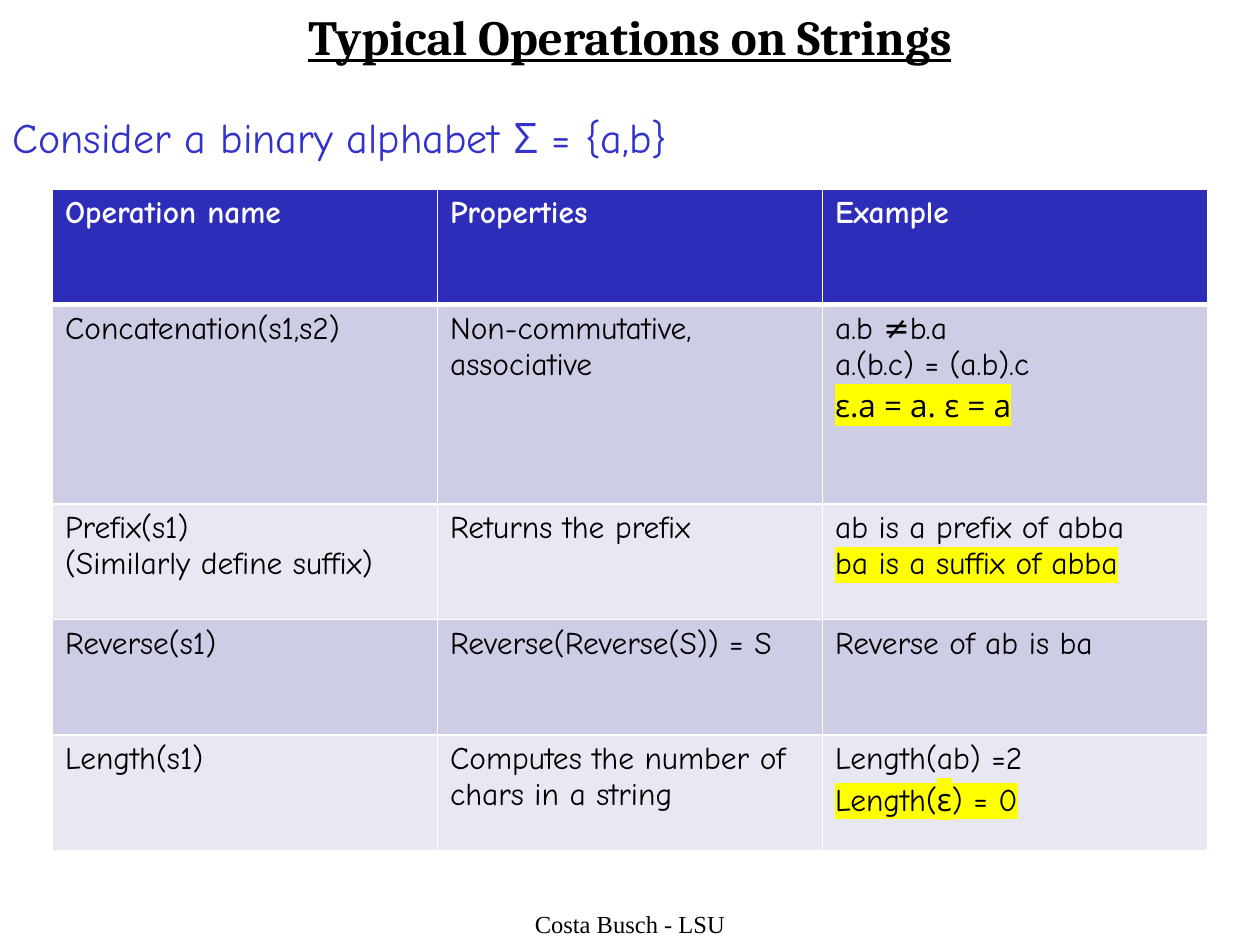
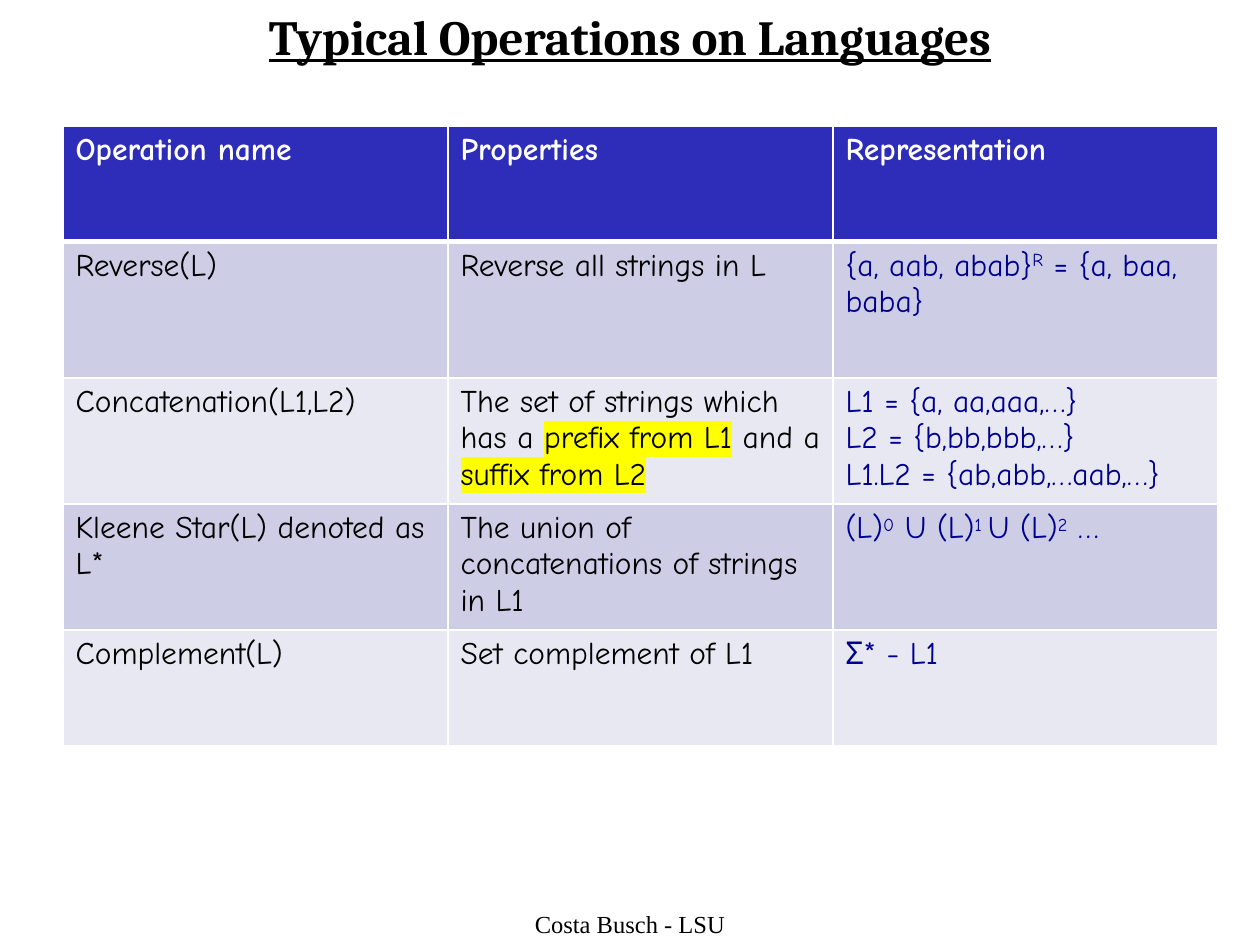
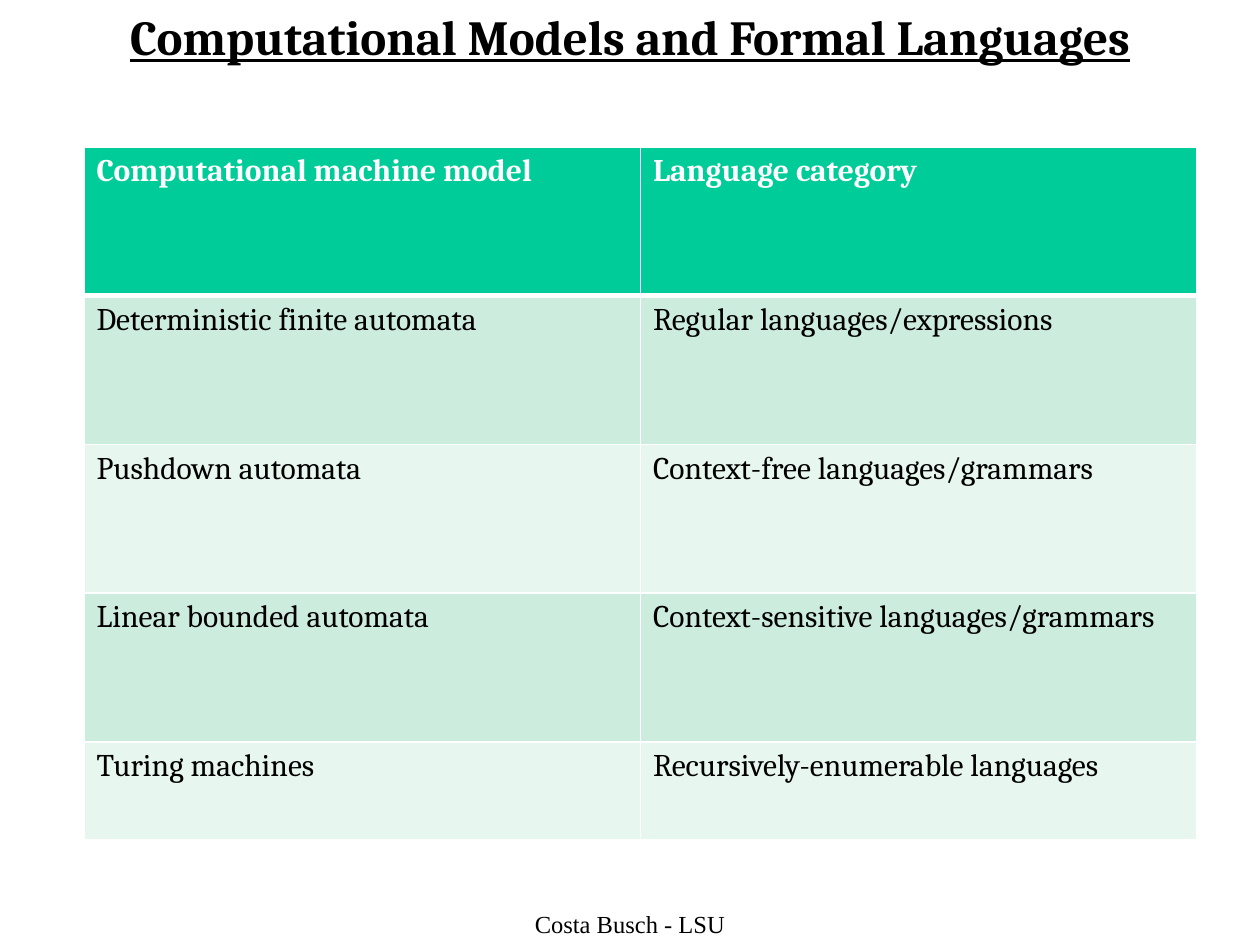
from dataclasses import dataclass

from lxml.etree import SubElement
from pptx import Presentation
from pptx.dml.color import RGBColor as Rgb
from pptx.enum.text import MSO_ANCHOR as Anchor, MSO_AUTO_SIZE as AutoSize, PP_ALIGN as Align
from pptx.oxml import parse_xml
from pptx.oxml.ns import nsdecls, qn
from pptx.util import Pt


@dataclass(frozen=True)
class Scheme:
    font: str
    header: str
    odd: str
    even: str


@dataclass(frozen=True)
class Theme:
    serif: str = "Cambria"
    casual: str = "Comic Neue"
    symbols: str = "Open Sans"
    footer: str = "Times New Roman"
    black: str = "000000"
    white: str = "FFFFFF"
    blue: str = "3333CC"
    navy: str = "000090"
    yellow: str = "FFFF00"
    title_size: int = 28
    lead_size: int = 24
    cell_size: int = 18
    footer_size: int = 14
    rule: int = 1
    header_rule: int = 3


THEME = Theme()
BLUE_TABLE = Scheme(THEME.casual, "2D2DB9", "CDCDE6", "E8E8F3")
GREEN_TABLE = Scheme(THEME.serif, "00CC99", "CCECDE", "E7F6EF")

# Run styles
MARK = {"highlight": THEME.yellow}
SYMBOL = {"name": THEME.symbols}
MARKED_SYMBOL = {**MARK, **SYMBOL}
SUPER = {"baseline": 30}
POWER = {"baseline": 24}

SLIDE_W, SLIDE_H = 720, 540
FOOTER_BOX = (246, 516, 228, 24)


def as_list(value):
    return value if isinstance(value, list) else [value]


def add_run(paragraph, text, style):
    run = paragraph.add_run()
    run.text = text
    style = dict(style)
    color = style.pop("color")
    highlight = style.pop("highlight", None)
    baseline = style.pop("baseline", None)
    for attribute, value in style.items():
        setattr(run.font, attribute, value)
    run.font.color.rgb = Rgb.from_string(color)
    properties = run.font._element
    if baseline:
        properties.set("baseline", str(baseline * 1000))
    if highlight:
        properties.find(qn("a:solidFill")).addnext(parse_xml(
            f'<a:highlight {nsdecls("a")}><a:srgbClr val="{highlight}"/></a:highlight>'))


def write(frame, paragraphs, style, align=Align.LEFT):
    """Fill a frame; a paragraph is a run or a list, a run is text or (text, style)."""
    for index, runs in enumerate(as_list(paragraphs)):
        paragraph = frame.add_paragraph() if index else frame.paragraphs[0]
        paragraph.alignment = align
        for run in as_list(runs):
            text, extra = run if isinstance(run, tuple) else (run, {})
            add_run(paragraph, text, {**style, **extra})


def place(shape, box):
    for side, length in zip(("left", "top", "width", "height"), box):
        setattr(shape, side, Pt(length))
    frame = shape.text_frame
    settings = {"word_wrap": True, "auto_size": AutoSize.NONE, "vertical_anchor": Anchor.TOP}
    for attribute, value in settings.items():
        setattr(frame, attribute, value)
    return frame


# Title and footer shared by all slides
def add_frame_slide(deck, layout, title, title_height):
    slide = deck.slides.add_slide(deck.slide_layouts[layout])
    write(place(slide.shapes.title, (0, 0, SLIDE_W, title_height)), title,
          {"name": THEME.serif, "size": Pt(THEME.title_size), "bold": True,
           "underline": True, "color": THEME.black}, Align.CENTER)
    footer = slide.shapes.add_textbox(0, 0, 0, 0)
    write(place(footer, FOOTER_BOX), "Costa Busch - LSU",
          {"name": THEME.footer, "size": Pt(THEME.footer_size), "color": THEME.black},
          Align.CENTER)
    return slide


# Unbulleted sentence in the body placeholder
def add_lead(slide, box, runs):
    frame = place(slide.placeholders[1], box)
    write(frame, [runs], {"name": THEME.casual, "size": Pt(THEME.lead_size),
                          "color": THEME.blue})
    properties = frame.paragraphs[0]._p.get_or_add_pPr()
    properties.set("marL", "0")
    properties.set("indent", "0")
    SubElement(properties, qn("a:buNone"))


def set_borders(cell, row):
    widths = {"lnL": THEME.rule, "lnR": THEME.rule,
              "lnT": THEME.header_rule if row == 1 else THEME.rule,
              "lnB": THEME.header_rule if row == 0 else THEME.rule}
    properties = cell._tc.get_or_add_tcPr()
    for index, (side, width) in enumerate(widths.items()):
        properties.insert(index, parse_xml(
            f'<a:{side} {nsdecls("a")} w="{Pt(width)}"><a:solidFill>'
            f'<a:srgbClr val="{THEME.white}"/></a:solidFill></a:{side}>'))


# Table with a header row, banded rows and equal columns
def add_operations_table(slide, box, row_heights, rows, scheme, last_ink=THEME.black):
    columns = len(rows[0])
    table = slide.shapes.add_table(len(rows), columns, *map(Pt, box)).table
    for column in table.columns:
        column.width = Pt(box[2] / columns)
    for r, (height, contents) in enumerate(zip(row_heights, rows)):
        table.rows[r].height = Pt(height)
        fill = scheme.header if r == 0 else (scheme.even, scheme.odd)[r % 2]
        for c, content in enumerate(contents):
            cell = table.cell(r, c)
            cell.fill.solid()
            cell.fill.fore_color.rgb = Rgb.from_string(fill)
            set_borders(cell, r)
            body_ink = last_ink if c == columns - 1 else THEME.black
            write(cell.text_frame, content,
                  {"name": scheme.font, "size": Pt(THEME.cell_size), "bold": r == 0,
                   "color": THEME.white if r == 0 else body_ink})


STRING_OPERATIONS = [
    ["Operation name", "Properties", "Example"],
    ["Concatenation(s1,s2)", ["Non-commutative,", "associative"],
     ["a.b ≠b.a", "a.(b.c) = (a.b).c", ("ε.a = a. ε = a", MARKED_SYMBOL)]],
    [["Prefix(s1)", "(Similarly define suffix)"], "Returns the prefix",
     ["ab is a prefix of abba", ("ba is a suffix of abba", MARK)]],
    ["Reverse(s1)", "Reverse(Reverse(S)) = S", "Reverse of ab is ba"],
    ["Length(s1)", "Computes the number of chars in a string",
     ["Length(ab) =2", [("Length(", MARK), ("ε", MARKED_SYMBOL), (") = 0", MARK)]]],
]

LANGUAGE_OPERATIONS = [
    ["Operation name", "Properties", "Representation"],
    ["Reverse(L)", "Reverse all strings in L",
     [["{a, aab, abab}", ("R", SUPER), " = {a, baa, baba}"]]],
    ["Concatenation(L1,L2)",
     [["The set of strings which has a ", ("prefix from L1", MARK), " and a ",
       ("suffix from L2", MARK)]],
     ["L1 = {a, aa,aaa,…}", "L2 = {b,bb,bbb,…}", "L1.L2 = {ab,abb,…aab,…}"]],
    ["Kleene Star(L) denoted as L*", "The union of concatenations of strings in L1",
     [["(L)", ("0", POWER), " U (L)", ("1 ", POWER), "U (L)", ("2", POWER), " …"]]],
    ["Complement(L)", "Set complement of L1", "Σ* - L1"],
]

MACHINE_MODELS = [
    ["Computational machine model", "Language category"],
    ["Deterministic finite automata", "Regular languages/expressions"],
    ["Pushdown automata", "Context-free languages/grammars"],
    ["Linear bounded automata", "Context-sensitive languages/grammars"],
    ["Turing machines", "Recursively-enumerable languages"],
]


def main():
    deck = Presentation()
    deck.slide_width, deck.slide_height = Pt(SLIDE_W), Pt(SLIDE_H)

    # Strings
    strings = add_frame_slide(deck, 1, "Typical Operations on Strings", 78)
    add_lead(strings, (0, 60, SLIDE_W, 106),
             ["Consider a binary alphabet ", ("Σ", SYMBOL), " = {a,b}"])
    add_operations_table(strings, (30, 108, 660, 378), (66, 114, 66, 66, 66),
                         STRING_OPERATIONS, BLUE_TABLE)

    # Languages
    languages = add_frame_slide(deck, 5, "Typical Operations on Languages", 78)
    add_operations_table(languages, (36, 72, 660, 354), (66, 78, 72, 72, 66),
                         LANGUAGE_OPERATIONS, BLUE_TABLE, THEME.navy)

    # Machine models
    models = add_frame_slide(deck, 5, "Computational Models and Formal Languages", 60)
    add_operations_table(models, (48, 84, 636, 396), (85, 85, 85, 85, 56),
                         MACHINE_MODELS, GREEN_TABLE)

    deck.save("out.pptx")


if __name__ == "__main__":
    main()
